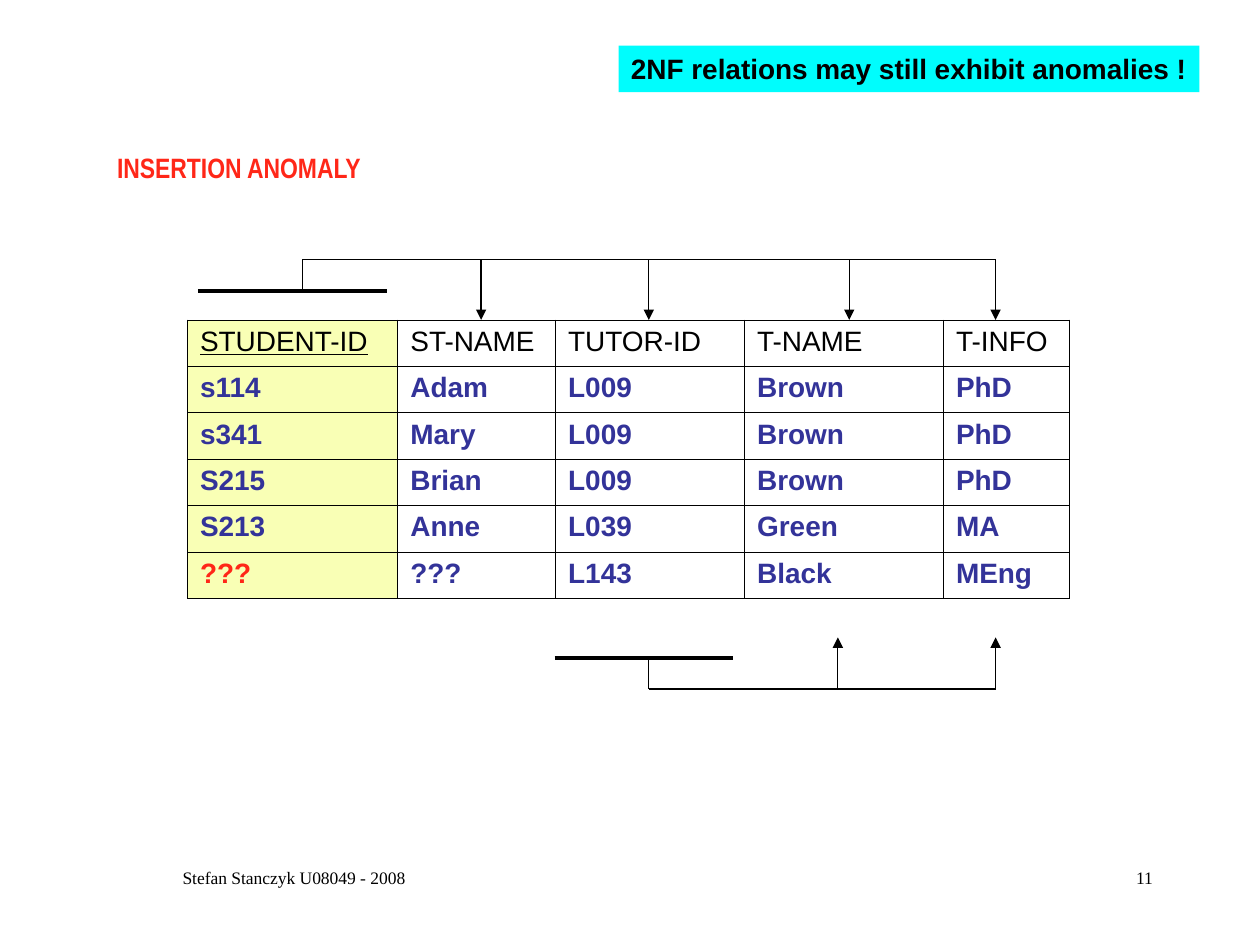
from lxml import etree
from pptx import Presentation, util as u
from pptx.dml.color import RGBColor
from pptx.enum import shapes, text
from pptx.oxml.ns import qn

COLORS = {"black": "000000", "blue": "333399", "red": "FF2718",
          "key": "F9FFB5", "banner": "00FDFD"}

HEADER = ["STUDENT-ID", "ST-NAME", "TUTOR-ID", "T-NAME", "T-INFO"]
STUDENTS = [
    ["s114", "Adam", "L009", "Brown", "PhD"],
    ["s341", "Mary", "L009", "Brown", "PhD"],
    ["S215", "Brian", "L009", "Brown", "PhD"],
    ["S213", "Anne", "L039", "Green", "MA"],
]
NEW_TUTOR = ["???", "???", "L143", "Black", "MEng"]
COL_WIDTHS = [4.24, 3.18, 3.81, 4.01, 2.54]
ROW_H = 0.935
TABLE_X, TABLE_Y, NEW_ROW_Y = 3.78, 6.45, 11.13

DEPENDENCIES = [
    {"key": (3.99, 7.8), "key_y": 5.87, "stem": 6.1, "rail": 5.23,
     "targets": [9.7, 13.08, 17.12, 20.07], "tip": 6.45},
    {"key": (11.18, 14.78), "key_y": 13.26, "stem": 13.08, "rail": 13.89,
     "targets": [16.89, 20.07], "tip": 12.85},
]

LEFT, CENTER, RIGHT = text.PP_ALIGN.LEFT, text.PP_ALIGN.CENTER, text.PP_ALIGN.RIGHT
TEXTS = [
    ("INSERTION ANOMALY", (2.11, 2.92, 5.49, 0.94),
     "Arial Narrow", 16, "red", True, LEFT, None),
    ("2NF relations may still exhibit anomalies !", (12.47, 0.92, 11.71, 0.94),
     "Arial", 16, "black", True, LEFT, "banner"),
    ("Stefan Stanczyk U08049 - 2008", (1.9, 17.35, 8.05, 1.27),
     "Times New Roman", 10, "black", False, CENTER, None),
    ("11", (18.21, 17.35, 5.28, 1.27),
     "Times New Roman", 10, "black", False, RIGHT, None),
]


def rgb(name):
    return RGBColor.from_string(COLORS[name])


def style(p, font, size, color, bold=False, underline=False):
    p.font.name, p.font.size = font, u.Pt(size)
    p.font.bold, p.font.underline = bold, underline
    p.font.color.rgb = rgb(color)


def add_borders(cell):
    tc_pr = cell._tc.get_or_add_tcPr()
    for side in ("lnL", "lnR", "lnT", "lnB"):
        ln = etree.SubElement(tc_pr, qn(f"a:{side}"), w=str(u.Pt(0.45)))
        fill = etree.SubElement(ln, qn("a:solidFill"))
        etree.SubElement(fill, qn("a:srgbClr"), val=COLORS["black"])


def add_table(s, rows, y, key_color, has_header=False):
    table = s.shapes.add_table(
        len(rows), len(COL_WIDTHS), u.Cm(TABLE_X), u.Cm(y),
        u.Cm(sum(COL_WIDTHS)), u.Cm(ROW_H * len(rows))).table
    table.first_row = table.horz_banding = False
    for col, width in zip(table.columns, COL_WIDTHS):
        col.width = u.Cm(width)
    for i, values in enumerate(rows):
        table.rows[i].height = u.Cm(ROW_H)
        header = has_header and i == 0
        for j, value in enumerate(values):
            cell = table.cell(i, j)
            cell.text = value
            color = "black" if header else key_color if j == 0 else "blue"
            style(cell.text_frame.paragraphs[0], "Arial", 16, color,
                  not header, header and j == 0)
            add_borders(cell)
            if j == 0:
                cell.fill.solid()
                cell.fill.fore_color.rgb = rgb("key")
            else:
                cell.fill.background()


def add_line(s, x1, y1, x2, y2, width=0.75, arrow=False):
    c = s.shapes.add_connector(shapes.MSO_CONNECTOR.STRAIGHT,
                               u.Cm(x1), u.Cm(y1), u.Cm(x2), u.Cm(y2))
    c.line.color.rgb = rgb("black")
    c.line.width = u.Pt(width)
    if arrow:
        etree.SubElement(c.line._get_or_add_ln(), qn("a:tailEnd"), type="triangle")
    etree.SubElement(c._element.spPr, qn("a:effectLst"))


def add_dependency(s, d):
    add_line(s, d["key"][0], d["key_y"], d["key"][1], d["key_y"], 2.25)
    add_line(s, d["stem"], d["key_y"], d["stem"], d["rail"])
    add_line(s, d["stem"], d["rail"], d["targets"][-1], d["rail"])
    for x in d["targets"]:
        add_line(s, x, d["rail"], x, d["tip"], arrow=True)


def add_text(s, content, box, font, size, color, bold, align, fill):
    sp = s.shapes.add_textbox(*map(u.Cm, box))
    if fill:
        sp.fill.solid()
        sp.fill.fore_color.rgb = rgb(fill)
    tf = sp.text_frame
    tf.word_wrap = align != LEFT
    p = tf.paragraphs[0]
    p.text, p.alignment = content, align
    style(p, font, size, color, bold)


def main():
    prs = Presentation()
    prs.slide_width, prs.slide_height = u.Cm(25.4), u.Cm(19.05)
    s = prs.slides.add_slide(prs.slide_layouts[6])
    add_table(s, [HEADER] + STUDENTS, TABLE_Y, "blue", has_header=True)
    add_table(s, [NEW_TUTOR], NEW_ROW_Y, "red")
    for dependency in DEPENDENCIES:
        add_dependency(s, dependency)
    for item in TEXTS:
        add_text(s, *item)
    prs.save("out.pptx")


if __name__ == "__main__":
    main()
